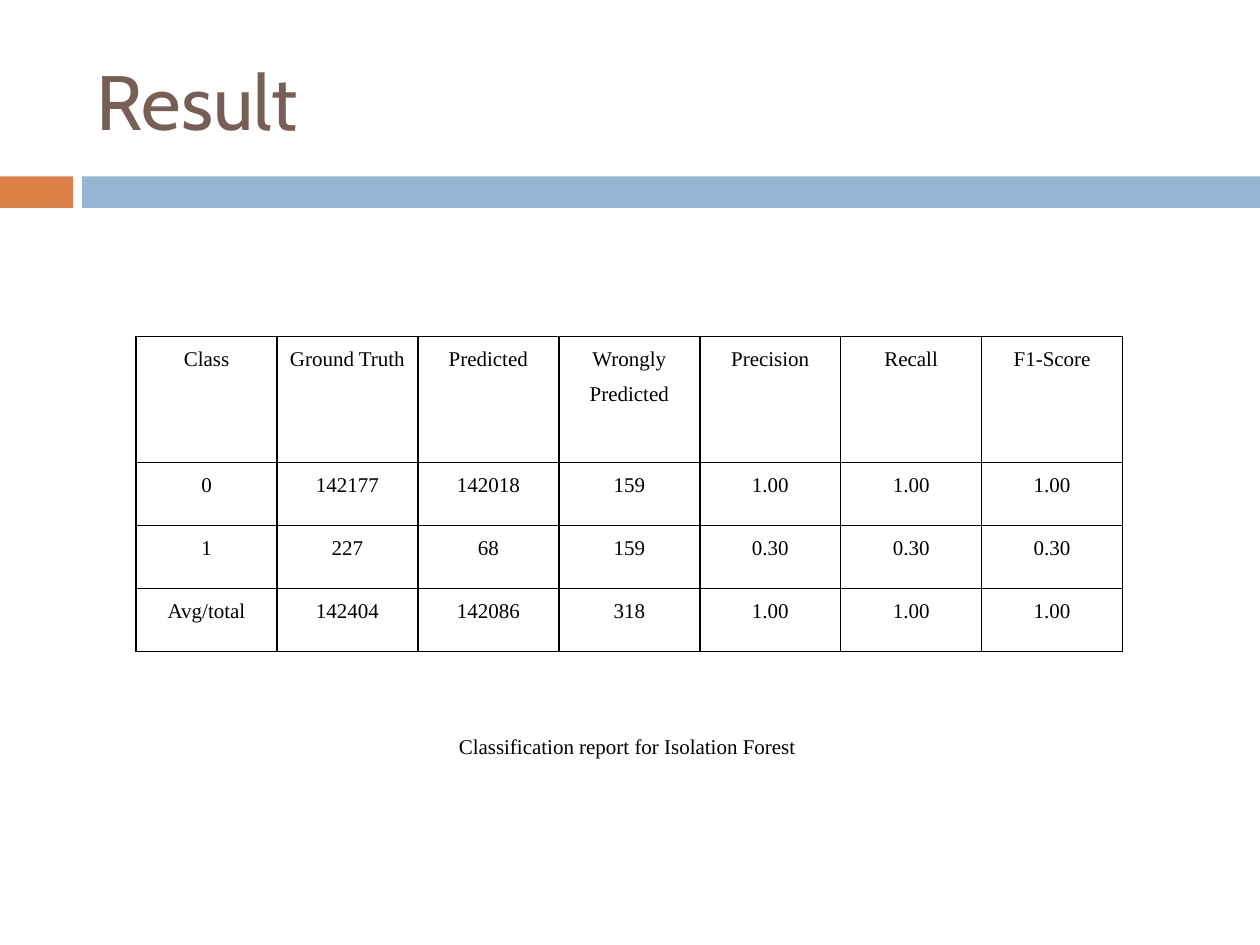
from lxml.etree import SubElement
from pptx import Presentation
from pptx.dml.color import RGBColor
from pptx.enum.shapes import MSO_SHAPE as Shape
from pptx.enum.text import MSO_ANCHOR as Anchor, PP_ALIGN as Align
from pptx.oxml.ns import qn
from pptx.util import Inches, Pt

BLACK = RGBColor(0x00, 0x00, 0x00)
BROWN = RGBColor(0x77, 0x5F, 0x55)
ORANGE = RGBColor(0xDD, 0x80, 0x47)
BLUE = RGBColor(0x94, 0xB6, 0xD2)

TITLE_FONT = {"name": "Cabin", "size": Pt(44)}
BODY_FONT = {"name": "Times New Roman", "size": Pt(12)}
CELL_MARGINS = {
    "margin_left": Inches(0.07),
    "margin_right": Inches(0.07),
    "margin_top": 0,
    "margin_bottom": 0,
}
CELL_PARAGRAPH = {"alignment": Align.CENTER, "line_spacing": 1.5, "space_before": Pt(12)}

REPORT = [
    ["Class", "Ground Truth", "Predicted", "Wrongly Predicted", "Precision", "Recall", "F1-Score"],
    ["0", "142177", "142018", "159", "1.00", "1.00", "1.00"],
    ["1", "227", "68", "159", "0.30", "0.30", "0.30"],
    ["Avg/total", "142404", "142086", "318", "1.00", "1.00", "1.00"],
]
ROW_SHARES = [2, 1, 1, 1]


def set_attributes(target, values):
    for name, value in values.items():
        setattr(target, name, value)


def write(paragraph, text, font, color):
    run = paragraph.add_run()
    run.text = text
    set_attributes(run.font, font)
    run.font.color.rgb = color


def add_text(slide, box, text, font, color, align, wrap):
    frame = slide.shapes.add_textbox(*map(Inches, box)).text_frame
    set_attributes(frame, {"word_wrap": wrap, "vertical_anchor": Anchor.MIDDLE})
    frame.paragraphs[0].alignment = align
    write(frame.paragraphs[0], text, font, color)


def add_band(slide, box, accent_width=0.58, gap=0.07):
    """Divide the box into a short orange bar and a long blue one."""
    left, top, width, height = box
    start = accent_width + gap
    bars = [(left, accent_width, ORANGE), (left + start, width - start, BLUE)]
    for bar_left, bar_width, color in bars:
        bar = slide.shapes.add_shape(
            Shape.RECTANGLE, *map(Inches, (bar_left, top, bar_width, height)))
        bar.shadow.inherit = False
        bar.fill.solid()
        bar.fill.fore_color.rgb = color
        bar.line.fill.background()


def add_borders(cell):
    properties = cell._tc.get_or_add_tcPr()
    for side in ("a:lnL", "a:lnR", "a:lnT", "a:lnB"):
        line = SubElement(properties, qn(side), w=str(Pt(1)))
        fill = SubElement(line, qn("a:solidFill"))
        SubElement(fill, qn("a:srgbClr"), val=str(BLACK))


def add_report(slide, box):
    left, top, width, height = map(Inches, box)
    columns = len(REPORT[0])
    table = slide.shapes.add_table(
        len(REPORT), columns, left, top, width, height).table
    set_attributes(table, {"first_row": False, "horz_banding": False})
    for column in table.columns:
        column.width = width // columns
    for row, share, texts in zip(table.rows, ROW_SHARES, REPORT):
        row.height = height * share // sum(ROW_SHARES)
        for cell, text in zip(row.cells, texts):
            set_attributes(cell, CELL_MARGINS)
            add_borders(cell)
            cell.fill.background()
            paragraph = cell.text_frame.paragraphs[0]
            set_attributes(paragraph, CELL_PARAGRAPH)
            write(paragraph, text, BODY_FONT, BLACK)


def main():
    presentation = Presentation()
    presentation.slide_width, presentation.slide_height = Inches(10), Inches(7.5)
    slide = presentation.slides.add_slide(presentation.slide_layouts[6])
    add_band(slide, (0, 1.4, 10, 0.25))
    add_text(slide, (0.67, 0.25, 8.92, 1.08), "Result",
             TITLE_FONT, BROWN, Align.LEFT, True)
    add_report(slide, (1.08, 2.67, 7.83, 2.5))
    add_text(slide, (0, 5.67, 10, 0.5), "Classification report for Isolation Forest ",
             BODY_FONT, BLACK, Align.CENTER, False)
    presentation.save("out.pptx")


if __name__ == "__main__":
    main()
